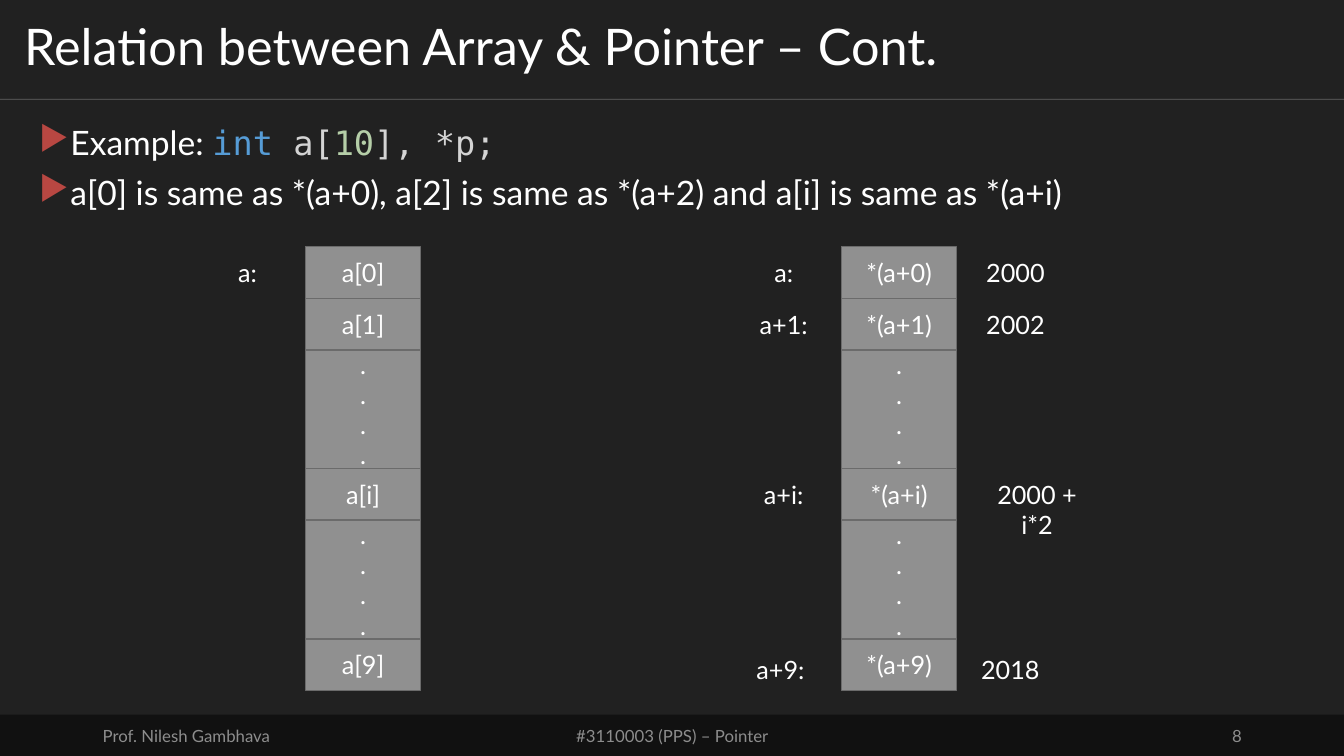
from lxml import etree
from pptx import Presentation
from pptx.dml.color import RGBColor
from pptx.enum.shapes import MSO_CONNECTOR, MSO_SHAPE
from pptx.enum.text import MSO_ANCHOR, MSO_AUTO_SIZE, PP_ALIGN
from pptx.oxml.ns import qn
from pptx.util import Cm, Pt

RECTANGLE, STRAIGHT = MSO_SHAPE.RECTANGLE, MSO_CONNECTOR.STRAIGHT
TOP, MIDDLE = MSO_ANCHOR.TOP, MSO_ANCHOR.MIDDLE
LEFT, CENTER, RIGHT, JUSTIFY = PP_ALIGN.LEFT, PP_ALIGN.CENTER, PP_ALIGN.RIGHT, PP_ALIGN.JUSTIFY
FIXED = MSO_AUTO_SIZE.NONE

COLORS = {
    "background": "212121", "footer": "111111", "footer_text": "8D8D8D",
    "text": "FFFFFF", "bullet": "B84742", "cell": "909090", "border": "6B6B6B",
    "keyword": "569CD6", "code": "D4D4D4", "number": "B5CEA8",
}
SANS, MONO = "Lato", "DejaVu Sans Mono"

# Content
TITLE = "Relation between Array & Pointer – Cont."
BULLETS = [
    (LEFT, [("Example: ", SANS, "text"), ("int", MONO, "keyword"), (" a[", MONO, "code"),
            ("10", MONO, "number"), ("], *p;", MONO, "code")]),
    (JUSTIFY, [("a[0] is same as *(a+0), a[2] is same as *(a+2) and a[i] is same as *(a+i)",
                SANS, "text")]),
]
DOTS = "\n".join("." * 4)
# Each array: left edge, cell texts from top to bottom
ARRAYS = [
    (7.7, ["a[0]", "a[1]", DOTS, "a[i]", DOTS, "a[9]"]),
    (21.21, ["*(a+0)", "*(a+1)", DOTS, "*(a+i)", DOTS, "*(a+9)"]),
]
# Each label: text, row, left edge, width
LABELS = [
    ("a:", 0, 4.78, 2.92),
    ("a:", 0, 18.29, 2.92), ("a+1:", 1, 18.29, 2.92),
    ("a+i:", 3, 18.29, 2.92), ("a+9:", 5, 18.21, 2.92),
    ("2000", 0, 24.13, 2.92), ("2002", 1, 24.13, 2.92),
    ("2000 + i*2", 3, 24.41, 3.45), ("2018", 5, 24.0, 2.92),
]
# Each footer: text, left edge, width, alignment
FOOTERS = [
    ("Prof. Nilesh Gambhava", 2.34, 7.62, LEFT),
    ("#3110003 (PPS) – Pointer", 11.23, 11.43, CENTER),
    ("8", 23.93, 7.62, RIGHT),
]

# Sizes in centimetres
WIDTH, HEIGHT = 33.87, 19.05
TITLE_HEIGHT, FOOTER_TOP = 2.5, 18.01
ARRAY_TOP, CELL_WIDTH, CELL_HEIGHT, DOTS_HEIGHT = 6.22, 2.9, 1.3, 2.99
LABEL_HEIGHT, LAST_LABEL_DROP = 1.02, 0.13
INDENT = Cm(0.74)


def color(name):
    return RGBColor.from_string(COLORS[name])


def apply(target, values):
    for name, value in values.items():
        setattr(target, name, value)


def add_run(paragraph, text, size, font=SANS, color_name="text"):
    run = paragraph.add_run()
    run.text = text
    apply(run.font, {"name": font, "size": Pt(size)})
    run.font.color.rgb = color(color_name)


def write(shape, text, size, alignment=CENTER, color_name="text", anchor=MIDDLE):
    frame = shape.text_frame
    apply(frame, {"word_wrap": True, "auto_size": FIXED, "vertical_anchor": anchor})
    for index, line in enumerate(text.split("\n")):
        paragraph = frame.add_paragraph() if index else frame.paragraphs[0]
        paragraph.alignment = alignment
        add_run(paragraph, line, size, color_name=color_name)


def add_box(slide, left, top, width, height, fill, border=None):
    shape = slide.shapes.add_shape(RECTANGLE, Cm(left), Cm(top), Cm(width), Cm(height))
    shape.shadow.inherit = False
    shape.fill.solid()
    shape.fill.fore_color.rgb = color(fill)
    if border:
        shape.line.color.rgb = color(border)
        shape.line.width = Pt(1)
    else:
        shape.line.fill.background()
    return shape


def add_text(slide, left, top, width, height, *text_values):
    box = slide.shapes.add_textbox(Cm(left), Cm(top), Cm(width), Cm(height))
    write(box, *text_values)


def add_bullet(paragraph):
    properties = paragraph._p.get_or_add_pPr()
    properties.set("marL", str(INDENT))
    properties.set("indent", str(-INDENT))
    bullet_color = etree.SubElement(properties, qn("a:buClr"))
    etree.SubElement(bullet_color, qn("a:srgbClr"), val=COLORS["bullet"])
    etree.SubElement(properties, qn("a:buChar"), char="▶")


def add_frame(slide):
    # Title rule, footer band and footer texts
    rule = slide.shapes.add_connector(STRAIGHT, 0, Cm(TITLE_HEIGHT), Cm(WIDTH), Cm(TITLE_HEIGHT))
    rule.line.color.rgb = color("text")
    rule.line.width = Pt(0.5)
    rule_color = rule.line._ln.find(".//" + qn("a:srgbClr"))
    etree.SubElement(rule_color, qn("a:alpha"), val="30000")
    etree.SubElement(rule._element.spPr, qn("a:effectLst"))
    add_box(slide, 0, FOOTER_TOP, WIDTH, HEIGHT - FOOTER_TOP, "footer")
    for text, left, width, alignment in FOOTERS:
        add_text(slide, left, 18.03, width, 1.02, text, 12, alignment, "footer_text")


def add_title(slide):
    title = slide.shapes.title
    apply(title, {"left": 0, "top": 0, "width": Cm(WIDTH), "height": Cm(TITLE_HEIGHT)})
    write(title, TITLE, 36, LEFT)
    apply(title.text_frame, {"margin_left": Cm(0.61), "margin_right": Cm(0.61),
                             "margin_top": Cm(0.3), "margin_bottom": Cm(0.3)})
    title.text_frame.paragraphs[0].line_spacing = 0.9


def add_bullets(slide):
    frame = slide.shapes.add_textbox(Cm(0.74), Cm(3.05), Cm(32.41), Cm(14.5)).text_frame
    apply(frame, {"word_wrap": True, "auto_size": FIXED})
    for index, (alignment, runs) in enumerate(BULLETS):
        paragraph = frame.add_paragraph() if index else frame.paragraphs[0]
        apply(paragraph, {"alignment": alignment, "line_spacing": 0.9, "space_before": Pt(10)})
        add_bullet(paragraph)
        for text, font, color_name in runs:
            add_run(paragraph, text, 24, font, color_name)


def add_arrays(slide):
    # Array columns, stacked from the top
    for left, cells in ARRAYS:
        row_tops = []
        top = ARRAY_TOP
        for text in cells:
            height = DOTS_HEIGHT if text == DOTS else CELL_HEIGHT
            write(add_box(slide, left, top, CELL_WIDTH, height, "cell", "border"), text, 18)
            row_tops.append(top)
            top += height
    # Labels, centred on their rows; the last row's sit a little lower
    for text, row, left, width in LABELS:
        top = row_tops[row] + (CELL_HEIGHT - LABEL_HEIGHT) / 2
        if row == len(row_tops) - 1:
            top += LAST_LABEL_DROP
        add_text(slide, left, top, width, LABEL_HEIGHT, text, 18, CENTER, "text", TOP)


def main():
    presentation = Presentation()
    apply(presentation, {"slide_width": Cm(WIDTH), "slide_height": Cm(HEIGHT)})
    slide = presentation.slides.add_slide(presentation.slide_layouts[5])
    slide.background.fill.solid()
    slide.background.fill.fore_color.rgb = color("background")
    add_frame(slide)
    add_title(slide)
    add_bullets(slide)
    add_arrays(slide)
    presentation.save("out.pptx")


if __name__ == "__main__":
    main()
